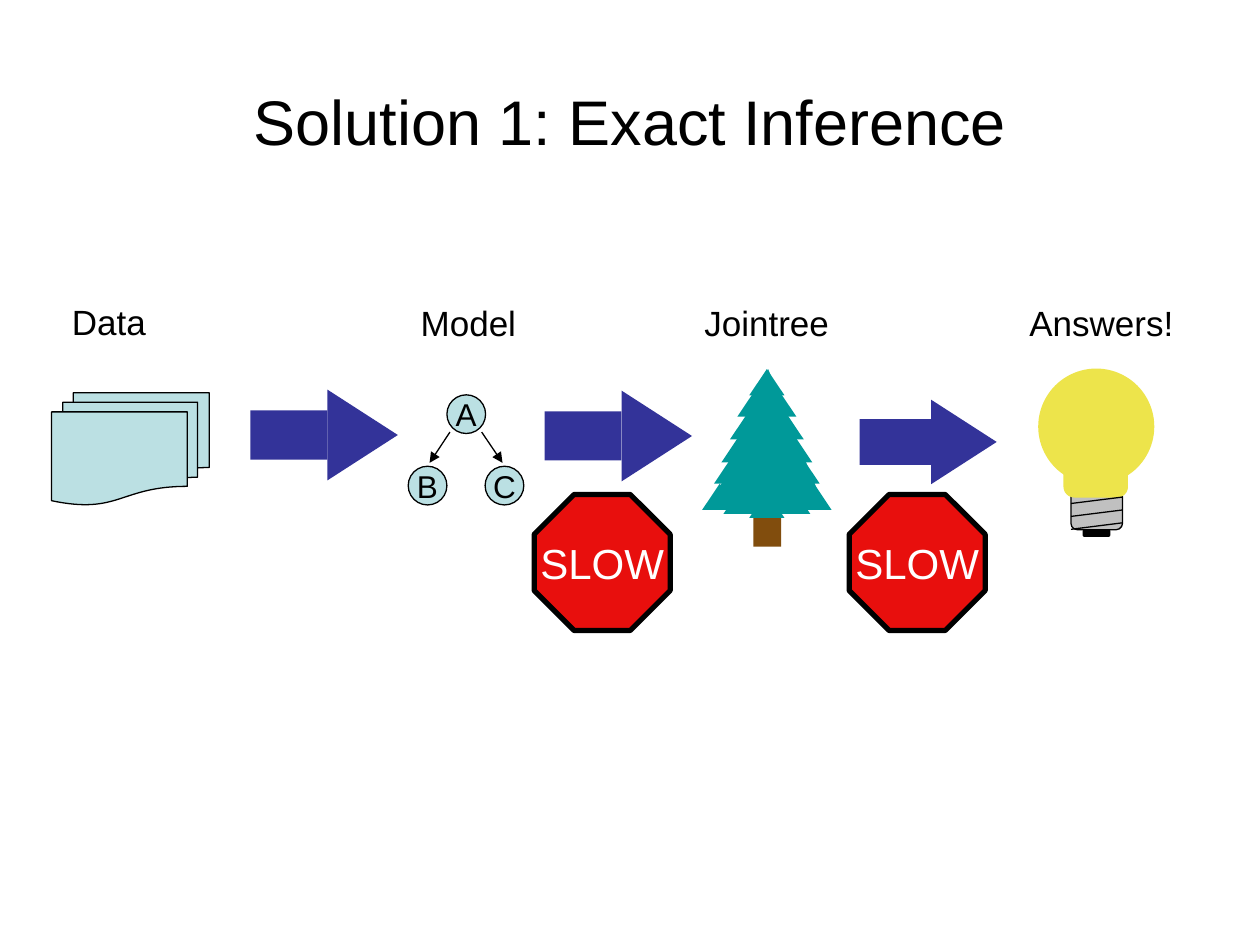
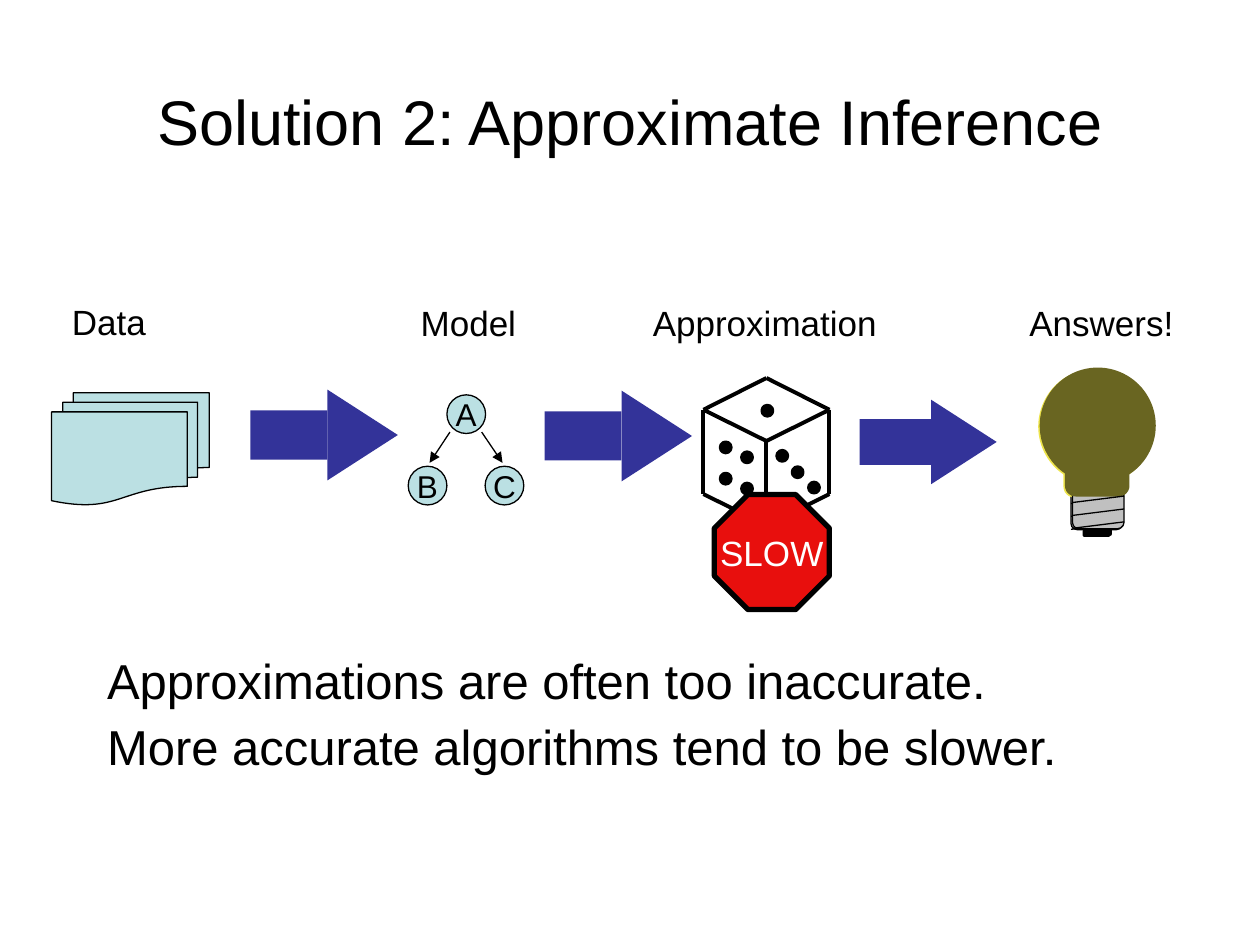
import dataclasses
import typing

import lxml.etree
import pptx
import pptx.dml.color
import pptx.enum.shapes
import pptx.enum.text
import pptx.oxml.ns
import pptx.util

Cm = pptx.util.Cm
Pt = pptx.util.Pt
MSO = pptx.enum.shapes.MSO_SHAPE
ALIGN = pptx.enum.text.PP_ALIGN
ANCHOR = pptx.enum.text.MSO_ANCHOR
Point = tuple[float, float]


@dataclasses.dataclass(frozen=True)
class Theme:
    font: str = "Arial"
    black: str = "000000"
    white: str = "FFFFFF"
    pale: str = "BBE0E3"
    arrow: str = "333399"
    leaf: str = "009999"
    trunk: str = "814D0D"
    metal: str = "C0C0C0"
    lit: str = "EDE44B"
    unlit: str = "696521"
    stop: str = "E80F0D"
    title: float = 36
    body: float = 28
    label: float = 20
    node: float = 18
    slow: float = 24
    thin: float = 0.75
    bold: float = 2.25
    heavy: float = 3


T = Theme()


class Box(typing.NamedTuple):
    x: float
    y: float
    w: float
    h: float


class Label(typing.NamedTuple):
    text: str
    x: float
    w: float
    y: float = 5.96


class Node(typing.NamedTuple):
    text: str
    x: float
    y: float


class Arrow(typing.NamedTuple):
    x: float
    middle: float
    scale: float = 1


class Sign(typing.NamedTuple):
    x: float
    size: float
    font_size: float


class Branch(typing.NamedTuple):
    offset: float
    y: float


LABELS = (Label("Data", 1.2, 2.2, 5.94), Label("Model", 8.23, 2.7), Label("Answers!", 20.5, 3.8))
NODES = (Node("A", 9.01, 7.96), Node("B", 8.23, 9.4), Node("C", 9.78, 9.4))
LINKS = (((9.07, 8.71), (8.66, 9.33)), ((9.71, 8.71), (10.13, 9.33)))
ARROWS = (Arrow(5.05, 8.77), Arrow(10.98, 8.79), Arrow(17.33, 8.91, 0.93))
BRANCHES = (
    Branch(0, 7.44), Branch(0.24, 7.87), Branch(0.39, 8.33), Branch(0.56, 8.79),
    Branch(0.71, 9.22), Branch(0.95, 9.75), Branch(0.52, 9.83), Branch(0, 9.91),
)
PIPS = (
    (15.37, 8.18), (15.67, 9.09), (15.98, 9.42), (16.31, 9.73),
    (14.53, 9.55), (14.53, 8.92), (14.96, 9.12), (14.96, 9.75),
)


def rgb(color: str) -> pptx.dml.color.RGBColor:
    return pptx.dml.color.RGBColor.from_string(color)


def write(sp, lines: typing.Sequence[str], size: float, color: str = T.black,
          wrap: bool = False, anchor=ANCHOR.MIDDLE, align=ALIGN.CENTER,
          spacing: float = 1, before: float = 0) -> None:
    tf = sp.text_frame
    for name, value in {"word_wrap": wrap, "vertical_anchor": anchor}.items():
        setattr(tf, name, value)
    for i, line in enumerate(lines):
        p = tf.paragraphs[0] if i == 0 else tf.add_paragraph()
        layout = {"alignment": align, "line_spacing": spacing, "space_before": Pt(before if i else 0)}
        for name, value in layout.items():
            setattr(p, name, value)
        r = p.add_run()
        r.text = line
        for name, value in {"name": T.font, "size": Pt(size)}.items():
            setattr(r.font, name, value)
        r.font.color.rgb = rgb(color)


def textbox(s, box: Box, lines: typing.Sequence[str], size: float, **layout) -> None:
    write(s.shapes.add_textbox(*map(Cm, box)), lines, size, **layout)


def shape(s, kind, box: Box, fill: str, width: float = 0):
    sp = s.shapes.add_shape(kind, *map(Cm, box))
    sp.shadow.inherit = False
    sp.fill.solid()
    sp.fill.fore_color.rgb = rgb(fill)
    if width:
        sp.line.color.rgb = rgb(T.black)
        sp.line.width = Pt(width)
    else:
        sp.line.fill.background()
    return sp


def line(s, start: Point, end: Point, width: float, arrowhead: bool = False) -> None:
    c = s.shapes.add_connector(pptx.enum.shapes.MSO_CONNECTOR.STRAIGHT, *map(Cm, start + end))
    c.line.color.rgb = rgb(T.black)
    c.line.width = Pt(width)
    qn = pptx.oxml.ns.qn
    if arrowhead:
        lxml.etree.SubElement(c.line._get_or_add_ln(), qn("a:tailEnd"), type="triangle")
    lxml.etree.SubElement(c._element.spPr, qn("a:effectLst"))


def draw_arrow(s, a: Arrow) -> None:
    shaft, thick, length, breadth = (v * a.scale for v in (1.55, 0.99, 1.42, 1.83))
    shape(s, MSO.RECTANGLE, Box(a.x, a.middle - thick / 2, shaft, thick), T.arrow)
    center = a.x + shaft + length / 2
    head = Box(center - breadth / 2, a.middle - length / 2, breadth, length)
    shape(s, MSO.ISOSCELES_TRIANGLE, head, T.arrow).rotation = 90


def draw_model(s) -> None:
    for n in NODES:
        write(shape(s, MSO.OVAL, Box(n.x, n.y, 0.78, 0.78), T.pale, T.thin), [n.text], T.node)
    for start, end in LINKS:
        line(s, start, end, T.thin, arrowhead=True)


def draw_tree(s) -> None:
    axis, w, h = 15.46, 0.71, 0.53
    shape(s, MSO.RECTANGLE, Box(15.19, 10.21, 0.56, 0.81), T.trunk)
    shape(s, MSO.ISOSCELES_TRIANGLE, Box(14.33, 7.44, 2.31, 2.84), T.leaf)
    for b in BRANCHES:
        for offset in {-b.offset, b.offset}:
            shape(s, MSO.ISOSCELES_TRIANGLE, Box(axis + offset - w / 2, b.y, w, h), T.leaf)


def draw_bulb(s, x: float, y: float, color: str) -> None:
    shape(s, MSO.ROUNDED_RECTANGLE, Box(x + 0.66, y + 2.46, 1.04, 0.79), T.metal, T.thin)
    shape(s, MSO.ROUNDED_RECTANGLE, Box(x + 0.51, y + 1.3, 1.3, 1.3), color)
    shape(s, MSO.OVAL, Box(x, y, 2.34, 2.34), color)
    for i in range(3):
        thread = y + 2.72 + 0.26 * i
        line(s, (x + 0.66, thread), (x + 1.7, thread - 0.13), T.thin)
    shape(s, MSO.ROUNDED_RECTANGLE, Box(x + 0.91, y + 3.25, 0.53, 0.13), T.black, T.thin)


def draw_die(s) -> None:
    left, mid, right = 14.18, 15.45, 16.72
    back, upper, front, lower, bottom = 7.62, 8.26, 8.89, 9.96, 10.59
    for side in (left, right):
        line(s, (side, upper), (side, lower), T.bold)
        for outer, inner in ((upper, back), (upper, front), (lower, bottom)):
            line(s, (side, outer), (mid, inner), T.bold)
    line(s, (mid, front), (mid, bottom), T.bold)
    for x, y in PIPS:
        shape(s, MSO.OVAL, Box(x, y, 0.2, 0.2), T.black, T.bold)


def draw_sign(s, sign: Sign) -> None:
    sp = shape(s, MSO.OCTAGON, Box(sign.x, 9.97, sign.size, sign.size), T.stop, T.heavy)
    write(sp, ["SLOW"], sign.font_size, T.white)


def pipeline_slide(prs, title: str, method: Label):
    s = prs.slides.add_slide(prs.slide_layouts[6])
    textbox(s, Box(1.91, 0.84, 21.59, 3.18), [title], T.title, wrap=True)
    shape(s, MSO.FLOWCHART_MULTIDOCUMENT, Box(1.04, 7.92, 3.18, 2.26), T.pale, T.thin)
    draw_model(s)
    for a in ARROWS:
        draw_arrow(s, a)
    for lb in (*LABELS, method):
        textbox(s, Box(lb.x, lb.y, lb.w, 1.12), [lb.text], T.label,
                wrap=True, anchor=ANCHOR.TOP, align=ALIGN.LEFT)
    draw_bulb(s, 20.93, 7.43, T.lit)
    return s


def main() -> None:
    prs = pptx.Presentation()
    prs.slide_width, prs.slide_height = Cm(25.4), Cm(19.05)

    s = pipeline_slide(prs, "Solution 1: Exact Inference", Label("Jointree", 13.95, 3.3))
    draw_tree(s)
    for x in (10.77, 17.12):
        draw_sign(s, Sign(x, 2.74, T.slow))

    s = pipeline_slide(prs, "Solution 2: Approximate Inference", Label("Approximation", 12.91, 5.3))
    draw_die(s)
    draw_bulb(s, 20.96, 7.41, T.unlit)
    remarks = ["Approximations are often too inaccurate.", "More accurate algorithms tend to be slower."]
    textbox(s, Box(1.91, 13.13, 21.59, 4.45), remarks, T.body, wrap=True,
            anchor=ANCHOR.TOP, align=ALIGN.LEFT, spacing=0.9, before=7)
    draw_sign(s, Sign(14.4, 2.32, T.label))

    prs.save("out.pptx")


if __name__ == "__main__":
    main()
